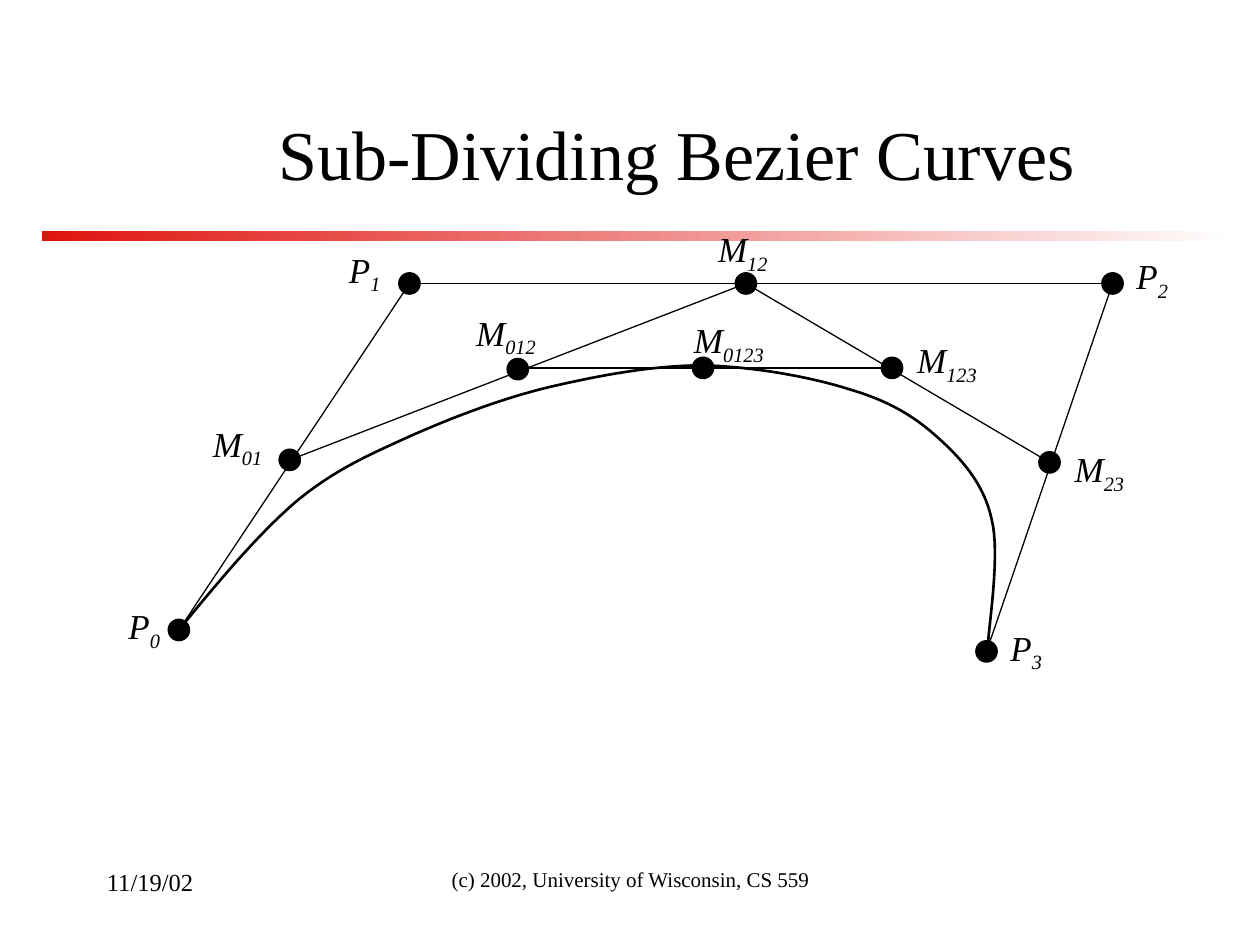
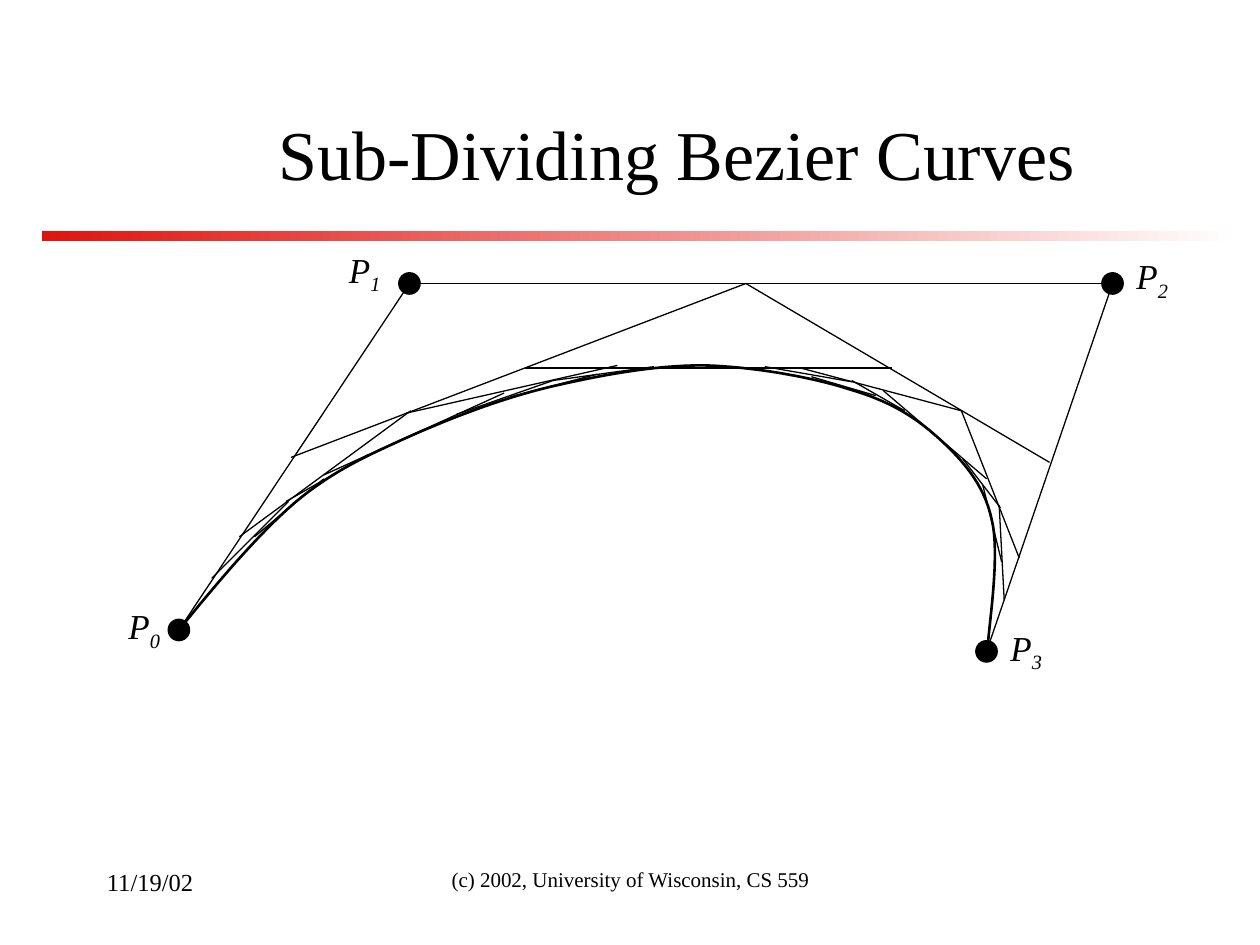
from collections import namedtuple

from pptx import Presentation
from pptx.dml.color import RGBColor
from pptx.enum.shapes import MSO_CONNECTOR, MSO_SHAPE
from pptx.enum.text import MSO_ANCHOR, MSO_AUTO_SIZE, PP_ALIGN
from pptx.oxml.ns import qn
from pptx.util import Inches, Pt
from lxml import etree

Box = namedtuple("Box", "left top width height")
Knot = namedtuple("Knot", "letter digits x y label_dx label_dy")

FONT = "Times New Roman"
BLACK, WHITE, RED = "000000", "FFFFFF", "DF140F"
TITLE = "Sub-Dividing Bezier Curves"
TITLE_BOX = Box(1.33, 0.67, 8.08, 1.08)
BAND_BOX = Box(0.33, 1.83, 9.5, 0.08)
DATE_BOX = Box(0.75, 6.83, 2.08, 0.5)
CREDIT_BOX = Box(3.42, 6.83, 3.17, 0.5)
DIAGRAM_BOX = Box(1, 2, 8, 3.25)
DOT_SIZE = 0.17
LETTER_WIDTH = {"P": 0.37, "M": 0.45}
DIGIT_WIDTH = 0.08

# All diagram coordinates count from the corner of the diagram box
CONTROL_POINTS = [
    Knot("P", "0", 0.42, 3, -0.5, -0.25),
    Knot("P", "1", 2.25, 0.25, -0.58, -0.33),
    Knot("P", "2", 7.83, 0.25, 0.09, -0.28),
    Knot("P", "3", 6.83, 3.17, 0.09, -0.25),
]
MIDPOINTS = [
    Knot("M", "01", 1.3, 1.65, -0.71, -0.35),
    Knot("M", "12", 4.92, 0.25, -0.32, -0.49),
    Knot("M", "23", 7.33, 1.67, 0.1, -0.17),
    Knot("M", "012", 3.11, 0.93, -0.43, -0.51),
    Knot("M", "123", 6.08, 0.92, 0.1, -0.28),
    Knot("M", "0123", 4.58, 0.92, -0.17, -0.44),
]

# Chords as x1, y1, x2, y2
FIRST_LEFT_CHORD = (1.25, 1.67, 4.92, 0.25)
SHORT_LEFT_CHORD = (1.31, 1.63, 4.92, 0.25)
FIRST_CHORDS = [(4.92, 0.25, 7.33, 1.67), (3.17, 0.92, 6.08, 0.92)]
FINER_CHORDS = [
    (0.9, 2.26, 2.26, 1.26), (2.22, 1.28, 3.9, 0.9),
    (5.35, 0.92, 6.63, 1.26), (6.63, 1.26, 7.09, 2.43),
    (1.57, 1.77, 3, 1.12), (6.01, 1.1, 6.83, 1.8),
    (0.68, 2.59, 1.29, 1.98), (1.27, 1.98, 1.92, 1.61),
    (1.02, 2.26, 1.57, 1.8), (2.62, 1.29, 3.39, 1.02),
    (3.39, 1.02, 4.19, 0.91), (3.05, 1.15, 3.74, 0.97),
    (5.07, 0.91, 5.76, 1.03), (5.76, 1.02, 6.18, 1.26),
    (5.44, 0.99, 5.95, 1.14), (6.64, 1.64, 6.94, 2.03),
    (6.93, 2.01, 6.97, 2.76), (6.95, 2.46, 6.8, 1.85),
]

# Start of the curve, then two handles and an end for each piece
CURVE = [
    (0.42, 3),
    (0.73, 2.62), (1.04, 2.25), (1.34, 1.99),
    (1.65, 1.73), (1.93, 1.61), (2.26, 1.46),
    (2.6, 1.31), (2.99, 1.16), (3.37, 1.07),
    (3.76, 0.98), (4.18, 0.9), (4.58, 0.9),
    (4.97, 0.91), (5.43, 0.99), (5.74, 1.09),
    (6.05, 1.18), (6.25, 1.3), (6.44, 1.47),
    (6.63, 1.64), (6.81, 1.84), (6.87, 2.12),
    (6.94, 2.39), (6.85, 2.95), (6.84, 3.13),
]
STEPS = 16


def color(hex_string):
    return RGBColor.from_string(hex_string)


def inches(box):
    return [Inches(length) for length in box]


def style_text(para, size, italic=False):
    para.font.name = FONT
    para.font.size = Pt(size)
    para.font.italic = italic
    para.font.color.rgb = color(BLACK)


# Shared frame: title, band, footers
def add_band(page, layout, box):
    """Draw the fading band and hand it to the layout, for every page."""
    band = page.shapes.add_shape(MSO_SHAPE.RECTANGLE, *inches(box))
    band.shadow.inherit = False
    band.line.fill.background()
    band.fill.gradient()
    band.fill.gradient_angle = 0
    for stop, hue in zip(band.fill.gradient_stops, (RED, WHITE)):
        stop.color.rgb = color(hue)
    layout.shapes.element.append(band.element)


def set_title(page, box):
    title = page.shapes.title
    title.left, title.top, title.width, title.height = inches(box)
    frame = title.text_frame
    frame.text = TITLE
    frame.auto_size = MSO_AUTO_SIZE.NONE
    frame.vertical_anchor = MSO_ANCHOR.MIDDLE
    frame.paragraphs[0].alignment = PP_ALIGN.CENTER
    style_text(frame.paragraphs[0], 40)


def add_footer(page, box, text, size, align):
    frame = page.shapes.add_textbox(*inches(box)).text_frame
    frame.word_wrap = True
    frame.text = text
    frame.paragraphs[0].alignment = align
    style_text(frame.paragraphs[0], size)


# Diagram parts
def add_dot(page, x, y):
    corner = (x - DOT_SIZE / 2, y - DOT_SIZE / 2)
    dot = page.shapes.add_shape(
        MSO_SHAPE.OVAL, *inches(corner + (DOT_SIZE, DOT_SIZE)))
    dot.shadow.inherit = False
    dot.fill.solid()
    dot.fill.fore_color.rgb = color(BLACK)
    dot.line.color.rgb = color(BLACK)
    dot.line.width = Pt(0.75)


def add_label(page, x, y, letter, digits):
    width = LETTER_WIDTH[letter] + DIGIT_WIDTH * len(digits)
    label = page.shapes.add_textbox(*inches((x, y, width, 0.48)))
    frame = label.text_frame
    frame.word_wrap = False
    frame.auto_size = MSO_AUTO_SIZE.SHAPE_TO_FIT_TEXT
    para = frame.paragraphs[0]
    style_text(para, 20, italic=True)
    para.add_run().text = letter
    subscript = para.add_run()
    subscript.text = digits
    subscript._r.get_or_add_rPr().set("baseline", "-25000")


def add_knots(page, box, knots):
    for knot in knots:
        x, y = box.left + knot.x, box.top + knot.y
        add_dot(page, x, y)
        add_label(page, x + knot.label_dx, y + knot.label_dy,
                  knot.letter, knot.digits)


def add_chords(page, box, chords):
    for x1, y1, x2, y2 in chords:
        ends = (box.left + x1, box.top + y1, box.left + x2, box.top + y2)
        chord = page.shapes.add_connector(MSO_CONNECTOR.STRAIGHT, *inches(ends))
        chord.line.color.rgb = color(BLACK)
        chord.line.width = Pt(0.75)
        etree.SubElement(chord._element.spPr, qn("a:effectLst"))


def bezier_point(points, t):
    """Divide the control polygon level by level (de Casteljau)."""
    while len(points) > 1:
        points = [((1 - t) * x1 + t * x2, (1 - t) * y1 + t * y2)
                  for (x1, y1), (x2, y2) in zip(points, points[1:])]
    return points[0]


def add_curve(page, box):
    points = [(Inches(box.left + x), Inches(box.top + y)) for x, y in CURVE]
    samples = [bezier_point(points[first:first + 4], step / STEPS)
               for first in range(0, len(points) - 1, 3)
               for step in range(1, STEPS + 1)]
    builder = page.shapes.build_freeform(*points[0])
    builder.add_line_segments(samples, close=False)
    curve = builder.convert_to_shape()
    curve.shadow.inherit = False
    curve.fill.background()
    curve.line.color.rgb = color(BLACK)
    curve.line.width = Pt(1.5)


def add_diagram(page, box, midpoints, chords):
    sides = [(start.x, start.y, end.x, end.y)
             for start, end in zip(CONTROL_POINTS, CONTROL_POINTS[1:])]
    add_chords(page, box, sides + chords)
    add_curve(page, box)
    add_knots(page, box, CONTROL_POINTS + midpoints)


def add_page(deck, layout, midpoints, chords):
    page = deck.slides.add_slide(layout)
    set_title(page, TITLE_BOX)
    add_diagram(page, DIAGRAM_BOX, midpoints, chords)
    add_footer(page, CREDIT_BOX, "(c) 2002, University of Wisconsin, CS 559",
               12, PP_ALIGN.CENTER)
    add_footer(page, DATE_BOX, "11/19/02", 14, PP_ALIGN.LEFT)
    return page


def main():
    deck = Presentation()
    deck.slide_width, deck.slide_height = Inches(10), Inches(7.5)
    layout = deck.slide_layouts.get_by_name("Title Only")
    first_page = add_page(deck, layout, MIDPOINTS,
                          [FIRST_LEFT_CHORD] + FIRST_CHORDS)
    add_band(first_page, layout, BAND_BOX)
    add_page(deck, layout, [], [SHORT_LEFT_CHORD] + FIRST_CHORDS + FINER_CHORDS)
    deck.save("out.pptx")


if __name__ == "__main__":
    main()
